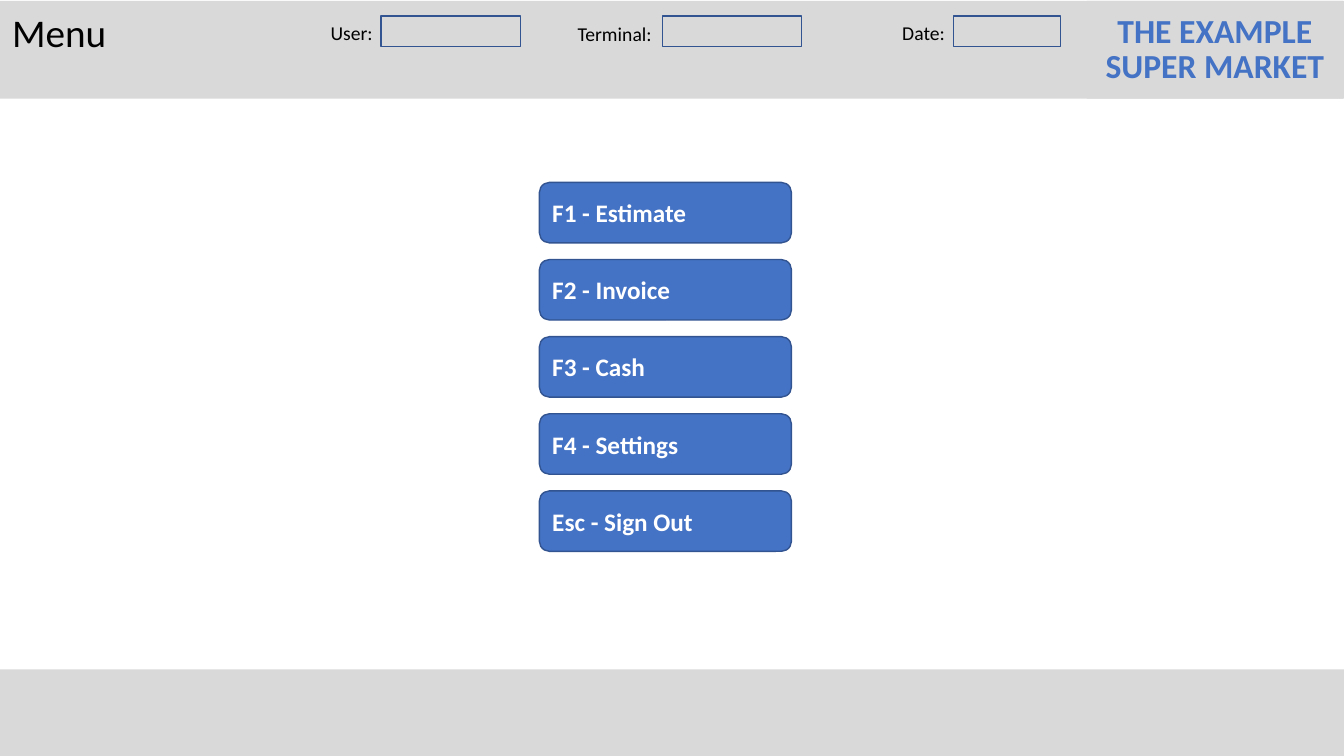
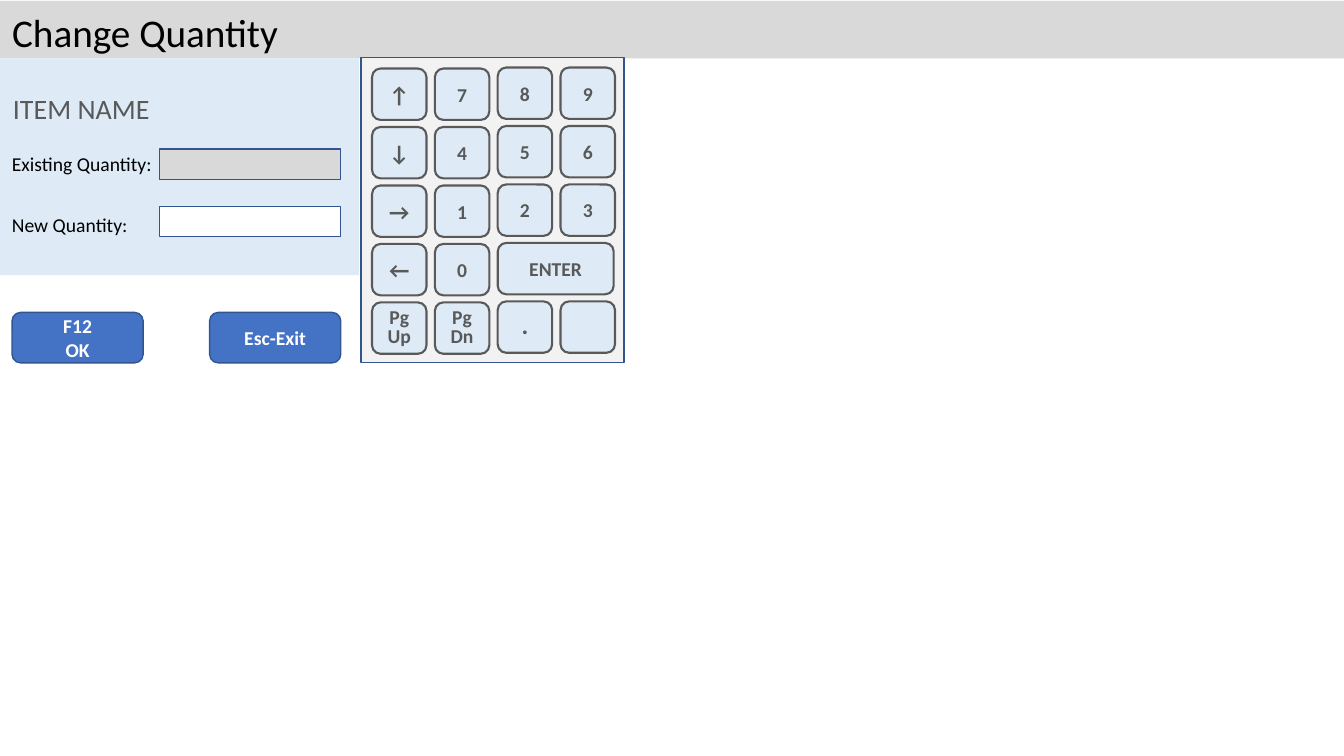
from dataclasses import dataclass

from pptx import Presentation
from pptx.dml.color import RGBColor
from pptx.enum.shapes import MSO_SHAPE
from pptx.enum.text import MSO_ANCHOR, MSO_AUTO_SIZE, PP_ALIGN
from pptx.util import Inches, Pt

RECT = MSO_SHAPE.RECTANGLE
ROUND = MSO_SHAPE.ROUNDED_RECTANGLE
TOP = MSO_ANCHOR.TOP
MIDDLE = MSO_ANCHOR.MIDDLE
LEFT = PP_ALIGN.LEFT
CENTER = PP_ALIGN.CENTER
FIXED = MSO_AUTO_SIZE.NONE


@dataclass(frozen=True)
class Theme:
    """Colours, font and type sizes of the deck."""

    font: str = "Calibri"
    black: str = "000000"
    white: str = "FFFFFF"
    gray: str = "D9D9D9"
    pale: str = "F2F2F2"
    dark: str = "595959"
    blue: str = "4472C4"
    navy: str = "325491"
    sky: str = "DEEBF7"
    title: int = 28
    brand: int = 24
    item: int = 20
    menu: int = 18
    arrow: int = 16
    body: int = 14


def write(shape, text, size, color, bold=False, align=LEFT, anchor=TOP, lead=None, right=0.1):
    """Fill a shape with formatted text, one paragraph per line."""
    frame = shape.text_frame
    frame.auto_size = FIXED
    frame.word_wrap = True
    frame.vertical_anchor = anchor
    frame.margin_left, frame.margin_right = Inches(0.1), Inches(right)
    frame.margin_top = frame.margin_bottom = Inches(0.05)
    frame.text = text
    for para in frame.paragraphs:
        para.alignment = align
        if lead:
            para.line_spacing = Pt(lead)
        for run in para.runs:
            run.font.name = Theme.font
            run.font.size = Pt(size)
            run.font.bold = bold
            run.font.color.rgb = RGBColor.from_string(color)


class Deck:
    """Builds slides in one style."""

    def __init__(self, theme):
        """Open an empty wide deck."""
        self.theme = theme
        self.file = Presentation()
        self.file.slide_width, self.file.slide_height = Inches(13.33), Inches(7.5)
        self.slide = None

    def start(self, title, width, depth):
        """Add a slide with its title on a header band."""
        self.slide = self.file.slides.add_slide(self.file.slide_layouts[5])
        self.box(0, 0.01, 13.33, depth, self.theme.gray)
        head = self.slide.shapes.title
        self.slide.shapes.element.append(head.element)
        head.left, head.top = Inches(0.02), Inches(0.03)
        head.width, head.height = Inches(width), Inches(0.57)
        write(head, title, self.theme.title, self.theme.black)

    def box(self, x, y, w, h, fill, line=None, weight=1, kind=RECT, group=None):
        """Draw a filled box with an optional outline."""
        shapes = (group or self.slide).shapes
        shape = shapes.add_shape(kind, Inches(x), Inches(y), Inches(w), Inches(h))
        shape.shadow.inherit = False
        shape.fill.solid()
        shape.fill.fore_color.rgb = RGBColor.from_string(fill)
        if line:
            shape.line.color.rgb = RGBColor.from_string(line)
            shape.line.width = Pt(weight)
        else:
            shape.line.fill.background()
        return shape

    def field(self, x, y, w, fill):
        """Draw an entry field."""
        self.box(x, y, w, 0.3, fill, self.theme.navy)

    def label(self, x, y, w, text, size=Theme.body, color=Theme.black, h=0.34):
        """Place a plain caption."""
        shape = self.slide.shapes.add_textbox(Inches(x), Inches(y), Inches(w), Inches(h))
        write(shape, text, size, color, right=0)

    def button(self, x, y, w, h, text, size, align=CENTER):
        """Draw a blue command button."""
        shape = self.box(x, y, w, h, self.theme.blue, self.theme.navy, kind=ROUND)
        write(shape, text, size, self.theme.white, bold=True, align=align, anchor=MIDDLE)

    def key(self, group, x, y, w, text):
        """Draw one key of the keypad."""
        look = self.theme
        shape = self.box(x, y, w, 0.51, look.sky, look.dark, 1.5, ROUND, group)
        if not text:
            return
        size = look.menu if text == "." else look.arrow if text in "↑↓→←" else look.body
        write(shape, text, size, look.dark, bold=True, align=CENTER,
              anchor=TOP if text == "." else MIDDLE, lead=14 if "\n" in text else None)

    def keypad(self, rows):
        """Draw the keypad panel and its grid of keys."""
        group = self.slide.shapes.add_group_shape()
        self.box(3.58, 0.57, 2.61, 3.03, self.theme.pale, self.theme.navy, group=group)
        for row, texts in enumerate(rows):
            for col, text in enumerate(texts):
                x = 3.69 + col * 1.87 / 3
                y = 0.68 + row * 0.58 - (0.01 if col > 1 else 0)
                self.key(group, x, y, 1.15 if text == "ENTER" else 0.54, text)


def menu(deck):
    """Build the main menu."""
    look = deck.theme
    deck.start("Menu", 2.78, 0.97)
    deck.box(0, 6.64, 13.33, 0.86, look.gray)
    for text, x, y, w, left, width in (
        ("User:", 3.18, 0.16, 0.62, 3.78, 1.38),
        ("Terminal:", 5.63, 0.17, 0.95, 6.57, 1.38),
        ("Date:", 8.85, 0.16, 0.85, 9.46, 1.06),
    ):
        deck.label(x, y, w, text)
        deck.field(left, 0.16, width, look.gray)
    brand = deck.box(10.78, 0.01, 2.54, 0.97, look.gray)
    write(brand, "THE EXAMPLE\nSUPER MARKET", look.brand, look.blue, bold=True,
          align=CENTER, anchor=MIDDLE, lead=25)
    names = ("F1 - Estimate", "F2 - Invoice", "F3 - Cash", "F4 - Settings", "Esc - Sign Out")
    step = (4.87 - 1.81) / (len(names) - 1)
    for row, text in enumerate(names):
        deck.button(5.35, 1.81 + row * step, 2.5, 0.6, text, look.menu, LEFT)


def change(deck):
    """Build the quantity form with its keypad."""
    look = deck.theme
    deck.start("Change Quantity", 3.14, 0.57)
    deck.box(0, 0.58, 3.56, 2.15, look.sky)
    deck.label(0.03, 0.86, 3.29, "ITEM NAME", look.item, look.dark, 0.44)
    deck.label(0.02, 1.46, 1.6, "Existing Quantity:")
    deck.field(1.58, 1.48, 1.8, look.gray)
    deck.label(0.02, 2.06, 1.5, "New Quantity:")
    deck.field(1.58, 2.05, 1.8, look.white)
    for x, text in ((0.12, "F12\nOK"), (2.08, "Esc-Exit")):
        deck.button(x, 3.1, 1.3, 0.5, text, look.body)
    deck.keypad((
        ("↑", "7", "8", "9"),
        ("↓", "4", "5", "6"),
        ("→", "1", "2", "3"),
        ("←", "0", "ENTER"),
        ("Pg\nUp", "Pg\nDn", ".", ""),
    ))


def main():
    """Build and save the deck."""
    deck = Deck(Theme())
    menu(deck)
    change(deck)
    deck.file.save("out.pptx")


if __name__ == "__main__":
    main()
